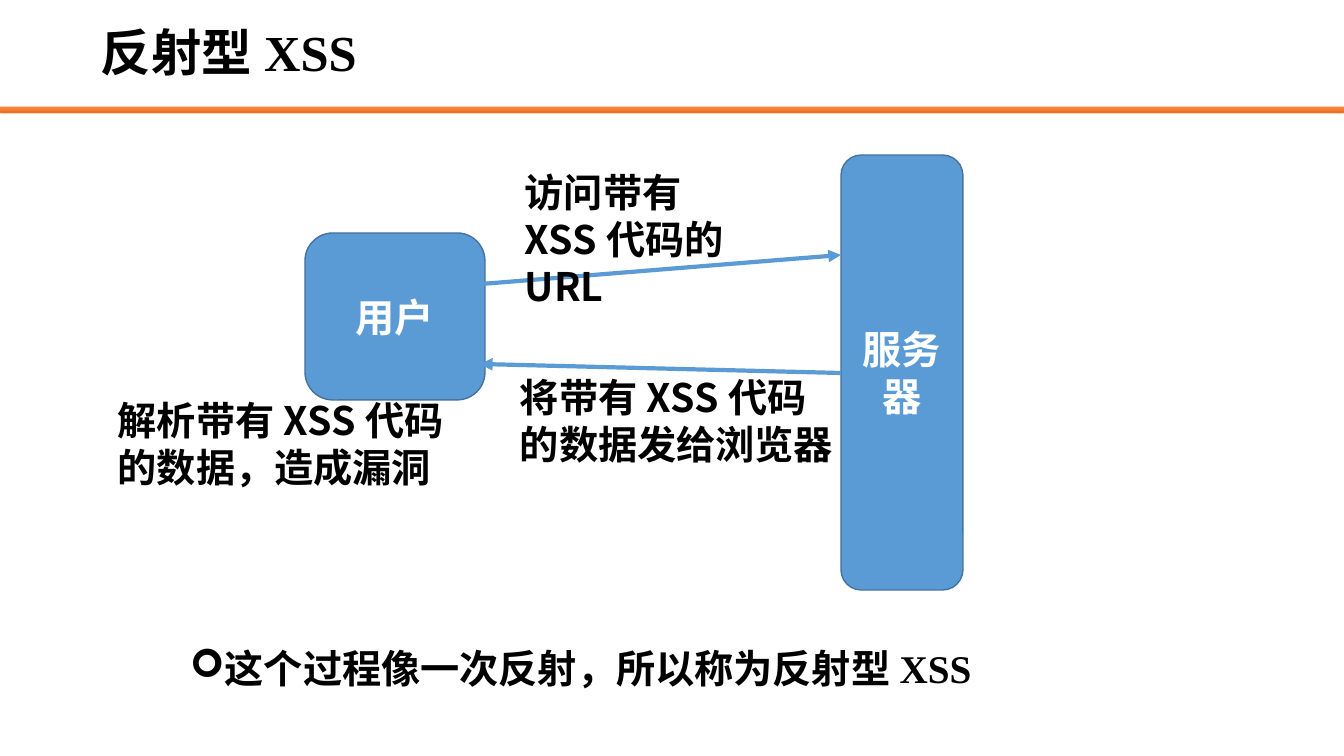
import pptx
import pptx.util
import pptx.dml.color
import pptx.enum.shapes
import pptx.enum.text
import pptx.oxml
import pptx.oxml.ns
import lxml.etree

PX = 914400 / 100.8
COLORS = {"blue": "5B9BD5", "edge": "43739E", "orange": "ED7D31", "top": "F18C57",
          "mid": "F67B28", "low": "E56C19", "black": "000000", "white": "FFFFFF"}
SANS, SERIF = "Noto Sans CJK SC", "Times New Roman"
MIDDLE = pptx.enum.text.MSO_ANCHOR.MIDDLE
TOP = pptx.enum.text.MSO_ANCHOR.TOP
ROUND = pptx.enum.shapes.MSO_SHAPE.ROUNDED_RECTANGLE
qn = pptx.oxml.ns.qn


def emu(*pixels):
    return [round(p * PX) for p in pixels]


def write(shape, text, size, font, color, anchor):
    frame = shape.text_frame
    frame.word_wrap = True
    frame.vertical_anchor = anchor
    frame.text = text
    para = frame.paragraphs[0]
    face = para.runs[0].font
    face.size = pptx.util.Pt(size)
    face.bold = True
    face.name = font
    face.color.rgb = pptx.dml.color.RGBColor.from_string(COLORS[color])
    east = lxml.etree.Element(qn("a:ea"), typeface=SANS)
    face._element.find(qn("a:latin")).addnext(east)
    return para


deck = pptx.Presentation()
deck.slide_width, deck.slide_height = emu(1344, 756)
slide = deck.slides.add_slide(deck.slide_layouts[6])
shapes = slide.shapes

rule = shapes.add_shape(ROUND, *emu(0, 107, 1344, 6))
rule.shadow.inherit = False
rule.line.color.rgb = pptx.dml.color.RGBColor.from_string(COLORS["orange"])
rule.line.width = pptx.util.Pt(0.5)
stops = "".join(f'<a:gs pos="{pos}"><a:srgbClr val="{COLORS[name]}"/></a:gs>'
                for pos, name in [(0, "top"), (50000, "mid"), (100000, "low")])
fill = pptx.oxml.parse_xml(
    f'<a:gradFill {pptx.oxml.ns.nsdecls("a")}><a:gsLst>{stops}</a:gsLst>'
    '<a:lin ang="5400000" scaled="0"/></a:gradFill>')
rule._element.spPr.find(qn("a:prstGeom")).addnext(fill)

title = shapes.add_textbox(*emu(91, 6, 1159, 99))
write(title, "反射型XSS", 36, SERIF, "black", MIDDLE).line_spacing = 0.9

for text, box in [("用户", (305, 233, 180, 167)), ("服务器", (841, 155, 122, 435))]:
    node = shapes.add_shape(ROUND, *emu(*box))
    node.shadow.inherit = False
    node.fill.solid()
    node.fill.fore_color.rgb = pptx.dml.color.RGBColor.from_string(COLORS["blue"])
    node.line.color.rgb = pptx.dml.color.RGBColor.from_string(COLORS["edge"])
    node.line.width = pptx.util.Pt(1)
    para = write(node, text, 28, SANS, "white", MIDDLE)
    para.alignment = pptx.enum.text.PP_ALIGN.CENTER

for ends in [(469, 285, 841, 255), (841, 373, 480, 364)]:
    arrow = shapes.add_connector(pptx.enum.shapes.MSO_CONNECTOR.STRAIGHT, *emu(*ends))
    arrow.line.color.rgb = pptx.dml.color.RGBColor.from_string(COLORS["blue"])
    arrow.line.width = pptx.util.Pt(3)
    lxml.etree.SubElement(arrow.line._get_or_add_ln(), qn("a:tailEnd"), type="triangle")
    lxml.etree.SubElement(arrow._element.spPr, qn("a:effectLst"))

for text, box in [("访问带有XSS代码的URL", (515, 163, 255, 152)),
                  ("将带有XSS代码的数据发给浏览器", (510, 368, 338, 105)),
                  ("解析带有XSS代码的数据，造成漏洞", (108, 391, 347, 105))]:
    label = shapes.add_textbox(*emu(*box))
    write(label, text, 28, SANS, "black", TOP)

note = shapes.add_textbox(*emu(180, 616, 1009, 88))
para = write(note, "这个过程像一次反射，所以称为反射型XSS", 28, SERIF, "black", TOP)
para.line_spacing = 1.5
para.space_before = pptx.util.Pt(10)
props = para._p.get_or_add_pPr()
props.set("marL", "228600")
props.set("indent", "-228600")
lxml.etree.SubElement(props, qn("a:buFont"), typeface="Wingdings")
lxml.etree.SubElement(props, qn("a:buChar"), char="➢")

deck.save("out.pptx")
